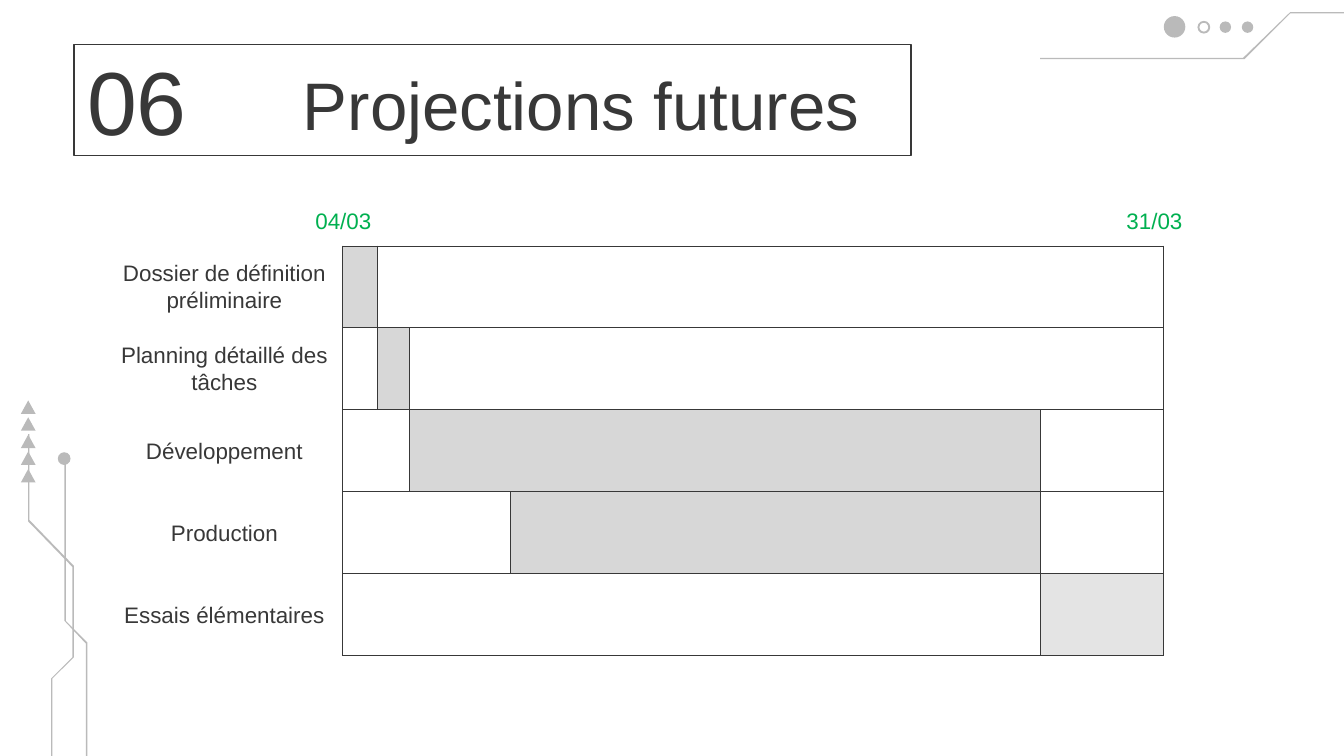
import dataclasses
import typing

import lxml.etree
import pptx
import pptx.dml.color
import pptx.enum.shapes
import pptx.enum.text
import pptx.oxml.ns
import pptx.util

SCALE = 4572
Kind = pptx.enum.shapes.MSO_SHAPE
Align = pptx.enum.text.PP_ALIGN
Anchor = pptx.enum.text.MSO_ANCHOR
qn = pptx.oxml.ns.qn


@dataclasses.dataclass(frozen=True)
class Theme:
    ink: str = "383838"
    paper: str = "FFFFFF"
    trace: str = "BABABA"
    bar: str = "D7D7D7"
    date: str = "00B050"
    font: str = "Arial"
    number: int = 48
    title: int = 36
    body: int = 12


class Box(typing.NamedTuple):
    left: int
    top: int
    width: int
    height: int


class Mark(typing.NamedTuple):
    kind: typing.Any
    box: Box


class Label(typing.NamedTuple):
    text: str
    box: Box
    size: int
    color: str
    anchor: typing.Any = Anchor.MIDDLE


class Task(typing.NamedTuple):
    name: str
    start: int
    end: int
    alpha: int = 100


THEME = Theme()
GRID = Box(510, 366, 1220, 610)
COLS = (52, 46, 150, 788, 184)
TASKS = (
    Task("Dossier de définition préliminaire", 0, 1),
    Task("Planning détaillé des tâches", 1, 2),
    Task("Développement", 2, 4),
    Task("Production", 3, 4),
    Task("Essais élémentaires", 4, 5, 65),
)
ROW = GRID.height // len(TASKS)
TRACES = (
    ((1920, 18), (1850, 86), (1548, 86), (1548, 88), (1852, 88),
     (1920, 20), (2140, 20), (2140, 18)),
    ((96, 924), (128, 958), (128, 1144), (130, 1144), (130, 956),
     (98, 924), (98, 682), (96, 682)),
    ((42, 776), (108, 844), (108, 978), (76, 1010), (76, 1162), (78, 1162),
     (78, 1010), (110, 978), (110, 842), (44, 774), (44, 646), (42, 646)),
)
MARKS = (
    Mark(Kind.OVAL, Box(1732, 24, 32, 32)),
    Mark(Kind.DONUT, Box(1782, 31, 19, 19)),
    Mark(Kind.OVAL, Box(1815, 32, 17, 17)),
    Mark(Kind.OVAL, Box(1848, 32, 17, 17)),
    Mark(Kind.OVAL, Box(86, 673, 19, 19)),
    *(Mark(Kind.ISOSCELES_TRIANGLE, Box(31, 596 + 51 * i // 2, 22, 20))
      for i in range(5)),
)


def emu(px: int) -> pptx.util.Emu:
    return pptx.util.Emu(px * SCALE)


def place(box: Box) -> tuple:
    return tuple(emu(px) for px in box)


def rgb(code: str) -> pptx.dml.color.RGBColor:
    return pptx.dml.color.RGBColor.from_string(code)


def apply(target: typing.Any, style: dict) -> None:
    for key, value in style.items():
        setattr(target, key, value)


def paint(item: typing.Any, color: str) -> None:
    item.fill.solid()
    item.fill.fore_color.rgb = rgb(color)


def flat(shape: typing.Any, color: str) -> None:
    shape.shadow.inherit = False
    paint(shape, color)
    shape.line.fill.background()


def write(shape: typing.Any, label: Label, align: typing.Any) -> None:
    frame = shape.text_frame
    inset = emu(20)
    apply(frame, {
        "word_wrap": True, "vertical_anchor": label.anchor,
        "margin_left": inset, "margin_right": inset,
        "margin_top": inset, "margin_bottom": inset,
    })
    line = frame.paragraphs[0]
    line.alignment = align
    run = line.add_run()
    run.text = label.text
    apply(run.font, {"name": THEME.font, "size": pptx.util.Pt(label.size)})
    run.font.color.rgb = rgb(label.color)


def trace(shapes: typing.Any, points: tuple) -> None:
    pen = shapes.build_freeform(*points[0], scale=SCALE)
    pen.add_line_segments(points[1:], close=True)
    flat(pen.convert_to_shape(), THEME.trace)


def mark(shapes: typing.Any, item: Mark) -> None:
    shape = shapes.add_shape(item.kind, *place(item.box))
    flat(shape, THEME.trace)
    if item.kind == Kind.DONUT:
        shape.adjustments[0] = 0.15


def banner(shapes: typing.Any, label: Label) -> None:
    shape = shapes.add_shape(Kind.RECTANGLE, *place(label.box))
    flat(shape, THEME.paper)
    shape.line.color.rgb = rgb(THEME.ink)
    shape.line.width = pptx.util.Pt(0.75)
    write(shape, label, Align.LEFT)


def caption(shapes: typing.Any, label: Label) -> None:
    write(shapes.add_textbox(*place(label.box)), label, Align.CENTER)


def border(cell: typing.Any) -> None:
    props = cell._tc.get_or_add_tcPr()
    for side in ("a:lnL", "a:lnR", "a:lnT", "a:lnB"):
        edge = lxml.etree.SubElement(props, qn(side), w=str(pptx.util.Pt(0.5)))
        fill = lxml.etree.SubElement(edge, qn("a:solidFill"))
        lxml.etree.SubElement(fill, qn("a:srgbClr"), val=THEME.ink)


def planning(shapes: typing.Any) -> None:
    table = shapes.add_table(len(TASKS), len(COLS), *place(GRID)).table
    apply(table, {"first_row": False, "horz_banding": False})
    for col, width in zip(table.columns, COLS):
        col.width = emu(width)
    for i, task in enumerate(TASKS):
        table.rows[i].height = emu(ROW)
        for j in range(len(COLS)):
            cell = table.cell(i, j)
            border(cell)
            if not task.start <= j < task.end:
                cell.fill.background()
                continue
            paint(cell, THEME.bar)
            if task.alpha < 100:
                tint = cell._tc.tcPr.find(qn("a:solidFill"))[0]
                lxml.etree.SubElement(tint, qn("a:alpha"),
                                      val=str(task.alpha * 1000))
        for start, end in ((0, task.start), (task.start, task.end),
                           (task.end, len(COLS))):
            if end - start > 1:
                table.cell(i, start).merge(table.cell(i, end - 1))


def main() -> None:
    deck = pptx.Presentation()
    apply(deck, {"slide_width": emu(2000), "slide_height": emu(1125)})
    shapes = deck.slides.add_slide(deck.slide_layouts[6]).shapes
    for points in TRACES:
        trace(shapes, points)
    for item in MARKS:
        mark(shapes, item)
    planning(shapes)
    banner(shapes, Label("06", Box(110, 66, 1246, 166), THEME.number, THEME.ink))
    caption(shapes, Label("Projections futures", Box(372, 72, 986, 162),
                          THEME.title, THEME.ink, Anchor.BOTTOM))
    for i, task in enumerate(TASKS):
        box = Box(156, GRID.top + i * ROW, 356, 120)
        caption(shapes, Label(task.name, box, THEME.body, THEME.ink))
    for text, left in (("04/03", 437), ("31/03", 1644)):
        box = Box(left, 292, 148, 72)
        caption(shapes, Label(text, box, THEME.body, THEME.date))
    deck.save("out.pptx")


if __name__ == "__main__":
    main()
